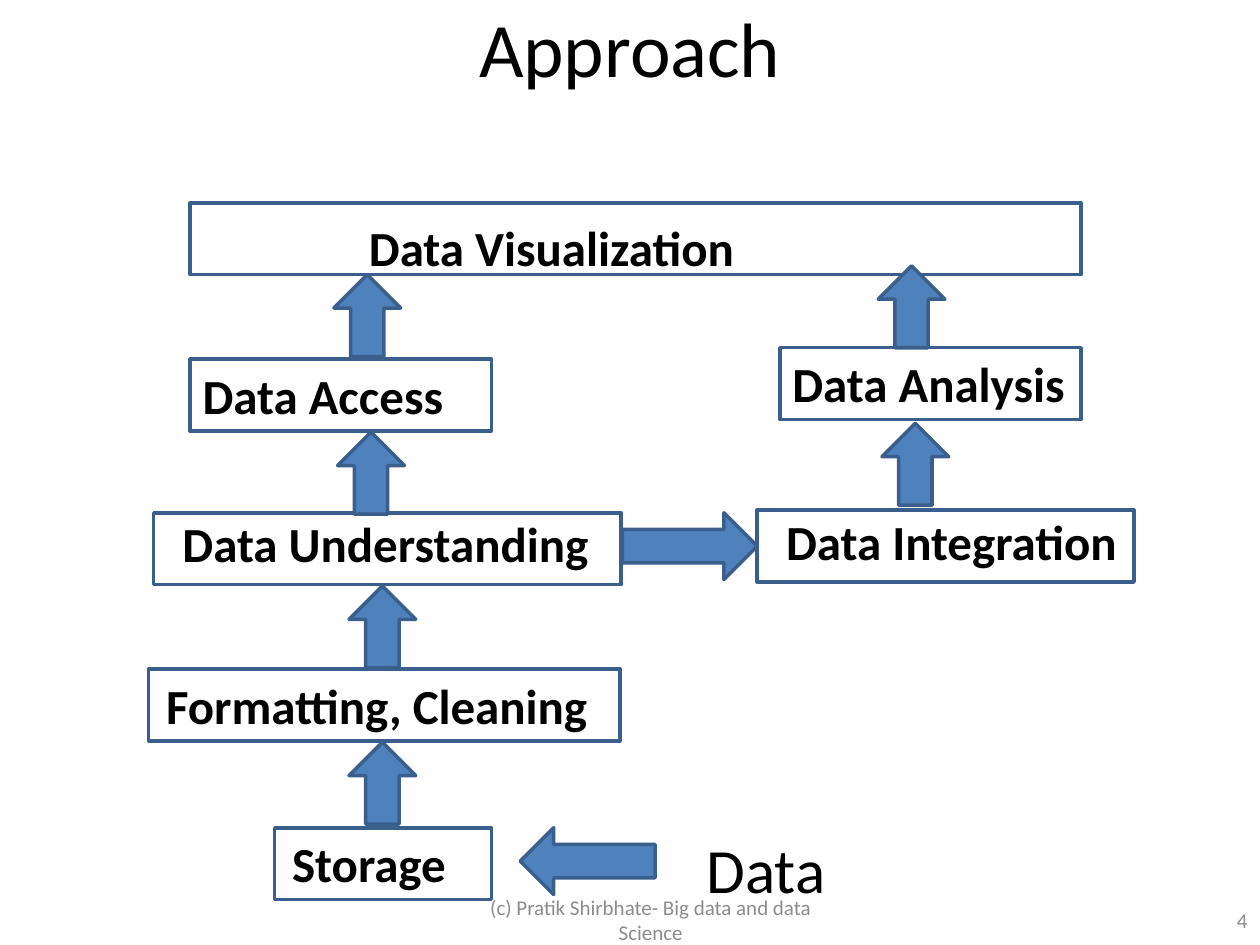
"""Build the Approach slide: a flow of data steps from storage to visualization."""
from dataclasses import dataclass

from pptx import Presentation
from pptx import util as u
from pptx.dml.color import RGBColor
from pptx.enum import shapes, text

EMU_PER_PX = 9144


@dataclass(frozen=True)
class Theme:
    font: str = "Calibri"
    ink: str = "000000"
    muted: str = "8C8C8C"
    paper: str = "FFFFFF"
    accent: str = "4F81BD"
    outline: str = "3A5F8C"
    line_width: int = 2
    title_size: int = 44
    input_size: int = 36
    step_size: int = 28
    footer_size: int = 12


@dataclass(frozen=True)
class Area:
    left: int
    top: int
    width: int
    height: int


@dataclass(frozen=True)
class Label:
    words: str
    area: Area
    size: int
    color: str
    bold: bool = False
    wrap: bool = True
    align: text.PP_ALIGN = text.PP_ALIGN.LEFT
    anchor: text.MSO_ANCHOR = text.MSO_ANCHOR.MIDDLE


@dataclass(frozen=True)
class Step:
    words: str
    left: int
    top: int
    width: int
    label_left: int
    label_width: int
    label_shift: int = 0
    wrap: bool = False


@dataclass(frozen=True)
class Arrow:
    kind: shapes.MSO_SHAPE
    left: int
    top: int


THEME = Theme()
STEP_HEIGHT = 57
ARROW_LENGTH = {"up": 65, "side": 107}
ARROW_BREADTH = 53
UP = shapes.MSO_SHAPE.UP_ARROW
RIGHT = shapes.MSO_SHAPE.RIGHT_ARROW
LEFT = shapes.MSO_SHAPE.LEFT_ARROW

STEPS = [
    Step("Formatting, Cleaning", 118, 531, 374, 122, 360),
    Step("Storage", 218, 657, 172, 222, 144),
    Step("Data Understanding", 122, 407, 371, 135, 346, -4),
    Step("Data Access", 151, 285, 239, 151, 214),
    Step("Data Integration", 601, 405, 299, 614, 286, -4),
    Step("Data Analysis", 619, 276, 239, 619, 239),
    Step("Data Visualization", 151, 161, 707, 283, 383, 7, True),
]
ARROWS = [
    Arrow(UP, 277, 589),
    Arrow(UP, 277, 465),
    Arrow(UP, 268, 343),
    Arrow(RIGHT, 494, 407),
    Arrow(UP, 700, 336),
    Arrow(LEFT, 413, 657),
    Arrow(UP, 265, 218),
    Arrow(UP, 697, 211),
]
LABELS = [
    Label("Approach", Area(0, -17, 1000, 108), THEME.title_size, THEME.ink,
          align=text.PP_ALIGN.CENTER),
    Label("Data", Area(551, 654, 115, 71), THEME.input_size, THEME.ink,
          wrap=False, anchor=text.MSO_ANCHOR.TOP),
    Label("(c) Pratik Shirbhate- Big data and data Science", Area(358, 710, 317, 40),
          THEME.footer_size, THEME.muted, align=text.PP_ALIGN.CENTER),
    Label("4", Area(767, 710, 233, 40), THEME.footer_size, THEME.muted,
          align=text.PP_ALIGN.RIGHT),
]


def px(length: int) -> u.Emu:
    """Turn px into EMU."""
    return u.Emu(length * EMU_PER_PX)


def place(area: Area) -> tuple[u.Emu, ...]:
    """Give left, top, width and height in EMU."""
    return px(area.left), px(area.top), px(area.width), px(area.height)


def draw_shape(page, kind: shapes.MSO_SHAPE, area: Area, fill: str) -> None:
    """Draw one outlined preset shape."""
    shape = page.shapes.add_shape(kind, *place(area))
    shape.shadow.inherit = False
    shape.fill.solid()
    shape.fill.fore_color.rgb = RGBColor.from_string(fill)
    shape.line.color.rgb = RGBColor.from_string(THEME.outline)
    shape.line.width = u.Pt(THEME.line_width)


def draw_label(page, label: Label) -> None:
    """Draw one line or block of text."""
    box = page.shapes.add_textbox(*place(label.area))
    frame = box.text_frame
    frame.word_wrap = label.wrap
    frame.vertical_anchor = label.anchor
    para = frame.paragraphs[0]
    para.text = label.words
    para.alignment = label.align
    para.font.name = THEME.font
    para.font.size = u.Pt(label.size)
    para.font.bold = label.bold
    para.font.color.rgb = RGBColor.from_string(label.color)


def draw_step(page, step: Step) -> None:
    """Draw the frame of a step and its bold name."""
    frame = Area(step.left, step.top, step.width, STEP_HEIGHT)
    draw_shape(page, shapes.MSO_SHAPE.RECTANGLE, frame, THEME.paper)
    area = Area(step.label_left, step.top + step.label_shift, step.label_width, STEP_HEIGHT)
    draw_label(page, Label(step.words, area, THEME.step_size, THEME.ink, bold=True,
                           wrap=step.wrap, anchor=text.MSO_ANCHOR.TOP))


def draw_arrow(page, arrow: Arrow) -> None:
    """Draw one block arrow."""
    if arrow.kind == UP:
        width, height = ARROW_BREADTH, ARROW_LENGTH["up"]
    else:
        width, height = ARROW_LENGTH["side"], ARROW_BREADTH
    draw_shape(page, arrow.kind, Area(arrow.left, arrow.top, width, height), THEME.accent)


def main() -> None:
    """Build and save the deck."""
    deck = Presentation()
    deck.slide_width, deck.slide_height = px(1000), px(750)
    page = deck.slides.add_slide(deck.slide_layouts[6])
    for step in STEPS:
        draw_step(page, step)
    for arrow in ARROWS:
        draw_arrow(page, arrow)
    for label in LABELS:
        draw_label(page, label)
    deck.save("out.pptx")


if __name__ == "__main__":
    main()
